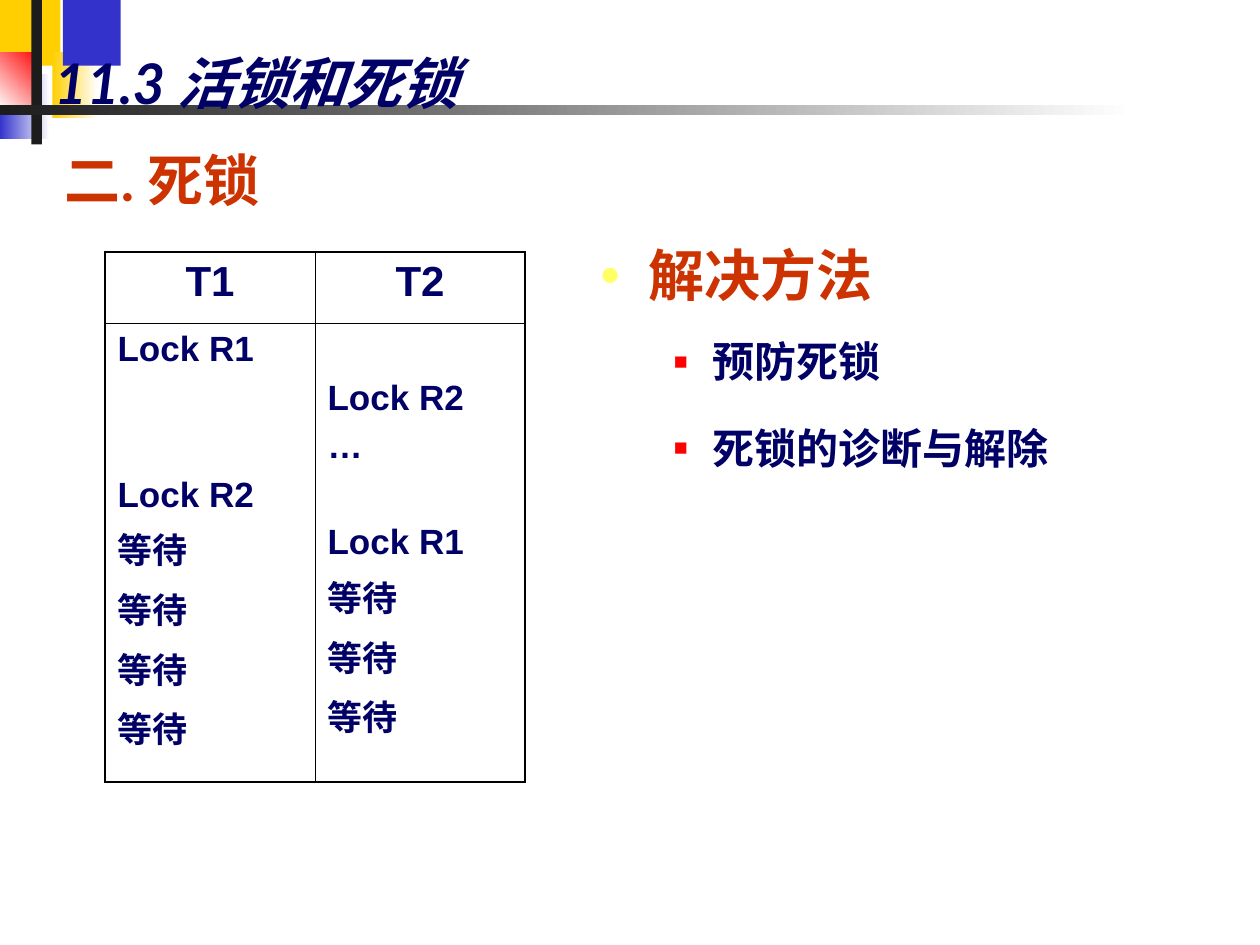
from dataclasses import dataclass

from lxml import etree
from pptx import Presentation
from pptx.dml.color import RGBColor
from pptx.enum.shapes import MSO_SHAPE
from pptx.enum.text import MSO_ANCHOR, PP_ALIGN
from pptx.oxml.ns import qn
from pptx.util import Emu, Inches, Pt

RECT = MSO_SHAPE.RECTANGLE
TOP = MSO_ANCHOR.TOP
LEFT, CENTER, JUSTIFY = PP_ALIGN.LEFT, PP_ALIGN.CENTER, PP_ALIGN.JUSTIFY


@dataclass(frozen=True)
class Theme:
    navy: str = "000066"
    rust: str = "CC3300"
    yellow: str = "FFCF01"
    blue: str = "3333CC"
    red: str = "FF0000"
    pale_yellow: str = "FFFF66"
    dark: str = "1C1C1C"
    white: str = "FFFFFF"
    black: str = "000000"
    font: str = "Lato"
    table_font: str = "Arial"
    heading: int = 32
    item: int = 24
    step: int = 20
    outer_line: float = 1.08
    inner_line: float = 0.45


T = Theme()


def grid(*units):
    """Turn twelfths of an inch into lengths."""
    return [Emu(round(Inches(1) * u / 12)) for u in units]


def rgb(color):
    return RGBColor.from_string(color)


def style(p, size, color, font=T.font, italic=None):
    for r in p.runs:
        f = r.font
        f.name, f.size, f.bold, f.italic = font, Pt(size), True, italic
        f.color.rgb = rgb(color)


def add_block(s, at, colors, angle=0):
    sp = s.shapes.add_shape(RECT, *grid(*at))
    sp.shadow.inherit = False
    sp.line.fill.background()
    if len(colors) == 1:
        sp.fill.solid()
        sp.fill.fore_color.rgb = rgb(colors[0])
        return
    sp.fill.gradient()
    sp.fill.gradient_angle = angle
    for stop, color in zip(sp.fill.gradient_stops, colors):
        stop.color.rgb = rgb(color)


def set_indent(p, left, hanging):
    pPr = p._p.get_or_add_pPr()
    pPr.set("marL", str(Inches(left)))
    pPr.set("indent", str(-Inches(hanging)))


def set_bullet(p, char, color, percent=100):
    pPr = p._p.get_or_add_pPr()
    clr = etree.SubElement(pPr, qn("a:buClr"))
    etree.SubElement(clr, qn("a:srgbClr"), val=color)
    etree.SubElement(pPr, qn("a:buSzPct"), val=str(percent * 1000))
    etree.SubElement(pPr, qn("a:buFont"), typeface=T.table_font)
    etree.SubElement(pPr, qn("a:buChar"), char=char)


def add_text(s, at, lines, size, color, italic=None, align=LEFT, spacing=None,
             gap=0, indent=None, bullet=None):
    tf = s.shapes.add_textbox(*grid(*at)).text_frame
    tf.word_wrap = True
    tf.vertical_anchor = TOP
    tf.text = "\n".join(lines)
    for i, p in enumerate(tf.paragraphs):
        if indent:
            set_indent(p, *indent)
        if bullet:
            set_bullet(p, *bullet)
        p.alignment = align
        if spacing:
            p.line_spacing = spacing
        if i:
            p.space_before = Pt(gap)
        style(p, size, color, italic=italic)


def set_borders(cell, row, col):
    outer = {"L": col == 0, "R": col == 1, "T": row == 0, "B": row == 1}
    tcPr = cell._tc.get_or_add_tcPr()
    for side, is_outer in outer.items():
        width = T.outer_line if is_outer else T.inner_line
        ln = etree.SubElement(tcPr, qn(f"a:ln{side}"), w=str(Pt(width)))
        fill = etree.SubElement(ln, qn("a:solidFill"))
        etree.SubElement(fill, qn("a:srgbClr"), val=T.black)


def add_schedule(s, at, row_heights, headers, columns):
    """Columns hold (time slot, step); an unused slot becomes spacing."""
    table = s.shapes.add_table(2, len(headers), *grid(*at)).table
    for row, height in zip(table.rows, grid(*row_heights)):
        row.height = height
    slot = T.step * 1.15 + 5
    for c, (header, steps) in enumerate(zip(headers, columns)):
        head, body = table.cell(0, c), table.cell(1, c)
        for r, cell in enumerate((head, body)):
            set_borders(cell, r, c)
            cell.fill.background()
        head.text = header
        p = head.text_frame.paragraphs[0]
        p.alignment = CENTER
        style(p, T.item, T.navy, T.table_font)

        body.text = "\n".join(step for _, step in steps)
        first = steps[0][0]
        body.margin_top = Inches(0.05) + Pt(first * slot)
        previous = first
        for i, (p, (time, _)) in enumerate(zip(body.text_frame.paragraphs, steps)):
            if i:
                p.space_before = Pt(5 + (time - previous - 1) * slot)
            previous = time
            style(p, T.step, T.navy, T.table_font)


def main():
    prs = Presentation()
    prs.slide_width, prs.slide_height = Inches(10), Inches(7.5)
    s = prs.slides.add_slide(prs.slide_layouts[6])

    # Corner ornament and title rule
    add_block(s, (0, 0, 5.75, 6.25), [T.yellow])
    add_block(s, (5, 5, 4.3, 6.25), [T.yellow, T.white])
    add_block(s, (6, 0, 5.5, 6.25), [T.blue])
    add_block(s, (0, 7, 4.75, 6.25), [T.blue, T.white])
    add_block(s, (0, 5, 4, 5.5), [T.white, T.red], angle=45)
    add_block(s, (3, 0, 1, 13.75), [T.dark])
    add_block(s, (0, 10, 108, 1), [T.dark, T.white])

    # Title and section heading
    add_text(s, (4, 4, 102, 8), ["11.3 活锁和死锁"], T.heading, T.navy, italic=True)
    heading = dict(size=T.heading, color=T.rust, align=JUSTIFY, spacing=0.9,
                   indent=(0.38, 0.38))
    add_text(s, (5, 14, 102, 7), ["二. 死锁"], **heading)

    # Two transactions over time
    waiting = "等待"
    t1 = [(0, "Lock R1"), (3, "Lock R2")] + [(t, waiting) for t in range(4, 8)]
    t2 = [(1, "Lock R2"), (2, "…"), (4, "Lock R1")] + [(t, waiting) for t in range(5, 8)]
    add_schedule(s, (10, 24, 40, 50.5), (6.8, 43.7), ("T1", "T2"), (t1, t2))

    # Solutions
    add_text(s, (56, 23, 42, 7), ["解决方法"], bullet=("•", T.pale_yellow), **heading)
    add_text(s, (57, 29, 56, 20), ["预防死锁", "死锁的诊断与解除"], T.item, T.navy,
             spacing=1.5, gap=6, indent=(0.81, 0.31), bullet=("■", T.red, 55))

    prs.save("out.pptx")


if __name__ == "__main__":
    main()
